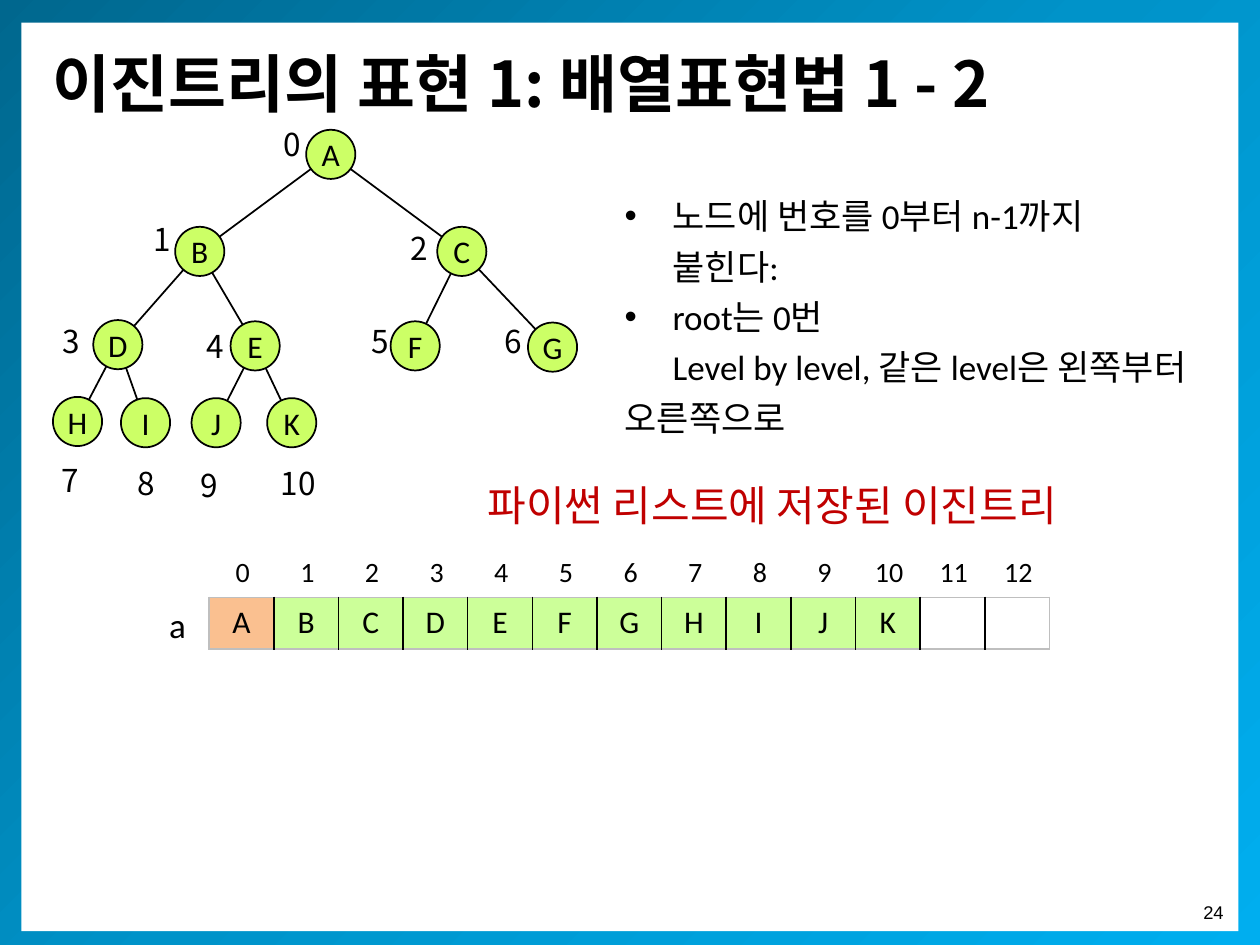
"""Build a slide on storing a binary tree in an array."""
from copy import deepcopy

from lxml import etree
from pptx import Presentation
from pptx.dml.color import RGBColor
from pptx.enum.shapes import MSO_CONNECTOR, MSO_SHAPE
from pptx.enum.text import MSO_ANCHOR, PP_ALIGN
from pptx.oxml.ns import qn
from pptx.util import Inches, Pt

LEFT, CENTER, RIGHT = PP_ALIGN.LEFT, PP_ALIGN.CENTER, PP_ALIGN.RIGHT
MIDDLE = MSO_ANCHOR.MIDDLE
RECTANGLE, OVAL = MSO_SHAPE.RECTANGLE, MSO_SHAPE.OVAL
STRAIGHT = MSO_CONNECTOR.STRAIGHT

THEME = {
    "black": "000000", "white": "FFFFFF", "red": "C00000", "grey": "BFBFBF",
    "node": "CCFF66", "root_cell": "FAC090", "cell": "CCFF99",
    "frame": ((0, "00678E"), (0.5, "0093C9"), (1, "00AEEF")),
    "latin": "Calibri", "korean": "Noto Sans CJK KR", "plain": "Arial",
    "title": 36, "heading": 24, "body": 20, "label": 18, "index": 16, "number": 10.5,
}
TITLE = "이진트리의 표현 1: 배열표현법 1 - 2"
HEADING = "파이썬 리스트에 저장된 이진트리"
RULES = [
    ("노드에 번호를 0부터 n-1까지\n붙힌다:", True),
    ("root는 0번", True),
    ("Level by level, 같은 level은 왼쪽부터 오른쪽으로", False),
]
NODES = [
    ("A", (2.43, 1.03), (2.15, 0.94)),
    ("B", (1.39, 1.80), (1.12, 1.70)),
    ("C", (3.47, 1.80), (3.16, 1.77)),
    ("D", (0.74, 2.54), (0.40, 2.51)),
    ("E", (1.83, 2.55), (1.54, 2.55)),
    ("F", (3.10, 2.55), (2.85, 2.51)),
    ("G", (4.19, 2.56), (3.91, 2.51)),
    ("H", (0.42, 3.15), (0.39, 3.61)),
    ("I", (0.96, 3.16), (0.99, 3.63)),
    ("J", (1.52, 3.16), (1.49, 3.65)),
    ("K", (2.12, 3.16), (2.13, 3.63)),
]
SLOTS = 13
NODE_SIZE = 0.39
TABLE_WIDTH, ROW_HEIGHT = 6.67, 0.41


def color(name):
    return RGBColor.from_string(THEME.get(name, name))


def write(para, text, size, font="latin", ink="black", bold=False, align=LEFT):
    para.alignment = align
    values = {"size": Pt(THEME[size]), "name": THEME[font], "bold": bold}
    for number, line in enumerate(text.split("\n")):
        if number:
            para.add_line_break()
        span = para.add_run()
        span.text = line
        for key, value in values.items():
            setattr(span.font, key, value)
        span.font.color.rgb = color(ink)
        east_asian = etree.SubElement(span.font._element, qn("a:ea"))
        east_asian.set("typeface", THEME["korean"])


def add_text(page, place, text, size, wrap=True, **style):
    frame = page.shapes.add_textbox(*map(Inches, place)).text_frame
    frame.word_wrap = wrap
    write(frame.paragraphs[0], text, size, **style)


def add_shape(page, kind, place, fill):
    shape = page.shapes.add_shape(kind, *map(Inches, place))
    shape.shadow.inherit = False
    shape.line.fill.background()
    shape.fill.solid()
    shape.fill.fore_color.rgb = color(fill)
    return shape


def add_background(page):
    frame = add_shape(page, RECTANGLE, (0, -0.04, 10, 7.59), "white")
    frame.fill.gradient()
    frame.fill.gradient_angle = 315
    stops = frame._element.spPr.find(".//" + qn("a:gsLst"))
    stops.insert(1, deepcopy(stops[0]))
    for stop, (position, tint) in zip(frame.fill.gradient_stops, THEME["frame"]):
        stop.position = position
        stop.color.rgb = color(tint)
    add_shape(page, RECTANGLE, (0.17, 0.18, 9.66, 7.21), "white")


def add_tree(page):
    centers = [[Inches(edge + NODE_SIZE / 2) for edge in corner] for _, corner, _ in NODES]
    for child in range(1, len(NODES)):
        branch = page.shapes.add_connector(STRAIGHT, *centers[(child - 1) // 2], *centers[child])
        branch.line.color.rgb = color("black")
        branch.line.width = Pt(1)
        etree.SubElement(branch._element.spPr, qn("a:effectLst"))
    for number, (letter, corner, label) in enumerate(NODES):
        node = add_shape(page, OVAL, (*corner, NODE_SIZE, NODE_SIZE), "node")
        node.line.color.rgb = color("black")
        node.line.width = Pt(1)
        frame = node.text_frame
        margins = dict.fromkeys(("margin_left", "margin_right", "margin_top", "margin_bottom"), 0)
        for key, value in {**margins, "word_wrap": False, "vertical_anchor": MIDDLE}.items():
            setattr(frame, key, value)
        write(frame.paragraphs[0], letter, "label", align=CENTER)
        add_text(page, (*label, 0.62 if number > 8 else 0.44, 0.4), str(number), "label",
                 font="korean")


def add_border(cell, side, tint):
    properties = cell._tc.get_or_add_tcPr()
    line = etree.SubElement(properties, qn("a:ln" + side), w=str(Pt(1)))
    fill = etree.SubElement(line, qn("a:solidFill"))
    etree.SubElement(fill, qn("a:srgbClr"), val=THEME[tint])


def add_row(page, corner, texts, size, fills=None):
    table = page.shapes.add_table(1, SLOTS, *map(Inches, (*corner, TABLE_WIDTH, ROW_HEIGHT))).table
    table.first_row = table.horz_banding = False
    for slot, text in enumerate(texts):
        table.columns[slot].width = Inches(TABLE_WIDTH / SLOTS)
        cell = table.cell(0, slot)
        cell.vertical_anchor = MIDDLE
        if text:
            write(cell.text_frame.paragraphs[0], text, size, align=CENTER)
        if fills:
            add_border(cell, "L", "black" if slot else "grey")
            add_border(cell, "R", "black" if slot < SLOTS - 1 else "grey")
            add_border(cell, "T", "grey")
            add_border(cell, "B", "grey")
            cell.fill.solid()
            cell.fill.fore_color.rgb = color(fills[slot])
        else:
            cell.fill.background()


def add_rules(page):
    frame = page.shapes.add_textbox(*map(Inches, (4.86, 1.43, 4.97, 1.68))).text_frame
    frame.word_wrap = True
    for number, (text, bulleted) in enumerate(RULES):
        para = frame.add_paragraph() if number else frame.paragraphs[0]
        para.line_spacing = 1.2
        write(para, text, "body")
        indent = Inches(0.38)
        properties = para._p.get_or_add_pPr()
        properties.set("marL", str(indent if bulleted else 0))
        properties.set("indent", str(-indent if bulleted else indent))
        if bulleted:
            etree.SubElement(properties, qn("a:buFont"), typeface=THEME["plain"])
            etree.SubElement(properties, qn("a:buChar"), char="•")


def add_title(page):
    title = page.shapes.title
    place = {"left": 0.32, "top": 0.23, "width": 9.07, "height": 0.84}
    for key, value in place.items():
        setattr(title, key, Inches(value))
    title.text_frame.vertical_anchor = MIDDLE
    write(title.text_frame.paragraphs[0], TITLE, "title", font="korean", bold=True)
    page.shapes._spTree.append(title._element)


def main():
    deck = Presentation()
    deck.slide_width, deck.slide_height = Inches(10), Inches(7.5)
    page = deck.slides.add_slide(deck.slide_layouts[5])
    letters = [letter for letter, _, _ in NODES]
    spare = SLOTS - len(letters)
    fills = ["root_cell"] + ["cell"] * (len(letters) - 1) + ["white"] * spare
    add_background(page)
    add_text(page, (9.42, 7.1, 0.39, 0.28), "24", "number", wrap=False, font="plain", align=RIGHT)
    add_text(page, (1.13, 4.74, 0.56, 0.44), "a", "body", align=CENTER)
    add_text(page, (3.77, 3.76, 5.58, 0.5), HEADING, "heading", ink="red")
    add_row(page, (1.67, 4.34), [str(slot) for slot in range(SLOTS)], "index")
    add_row(page, (1.66, 4.74), letters + [""] * spare, "label", fills)
    add_rules(page)
    add_tree(page)
    add_title(page)
    deck.save("out.pptx")


if __name__ == "__main__":
    main()
